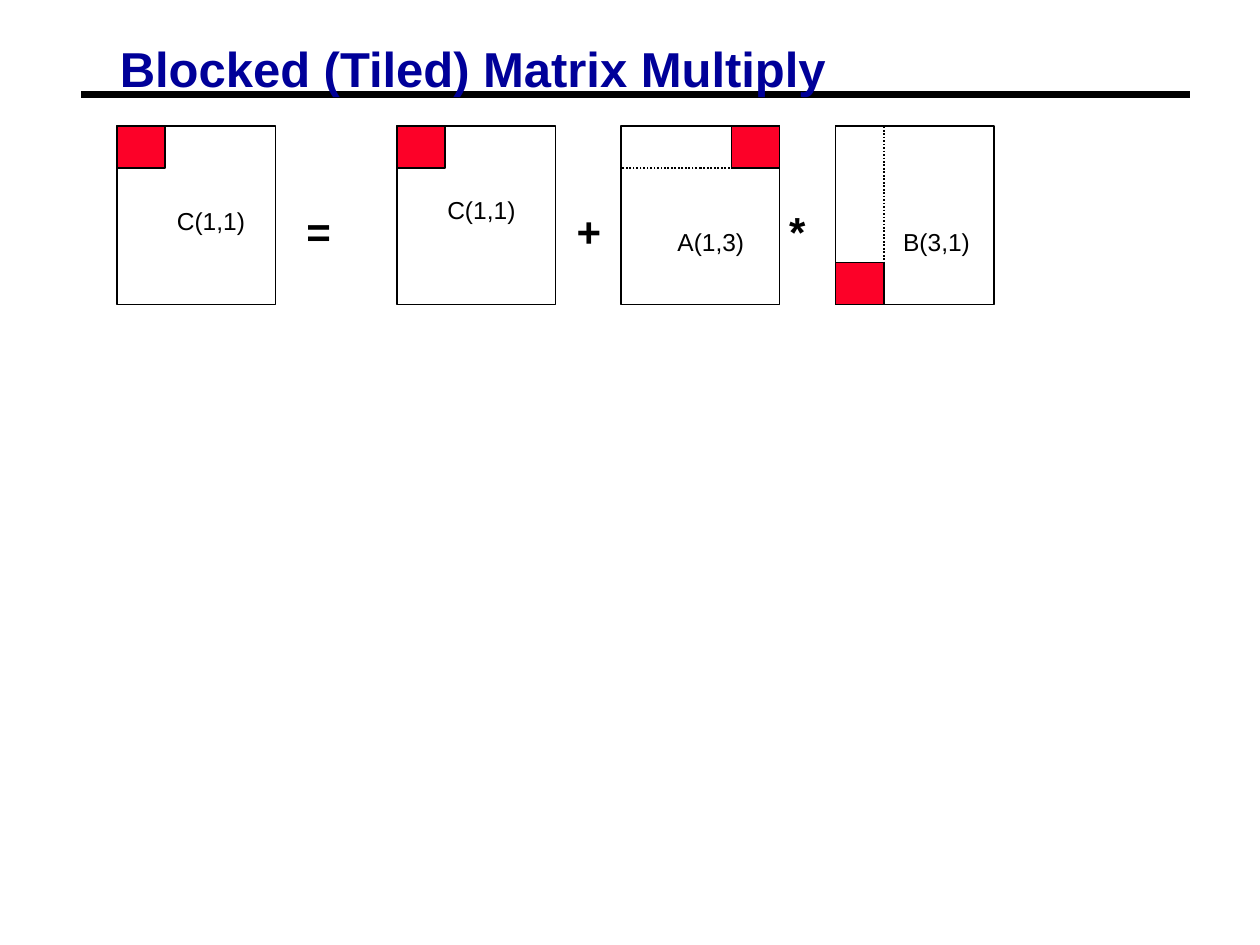
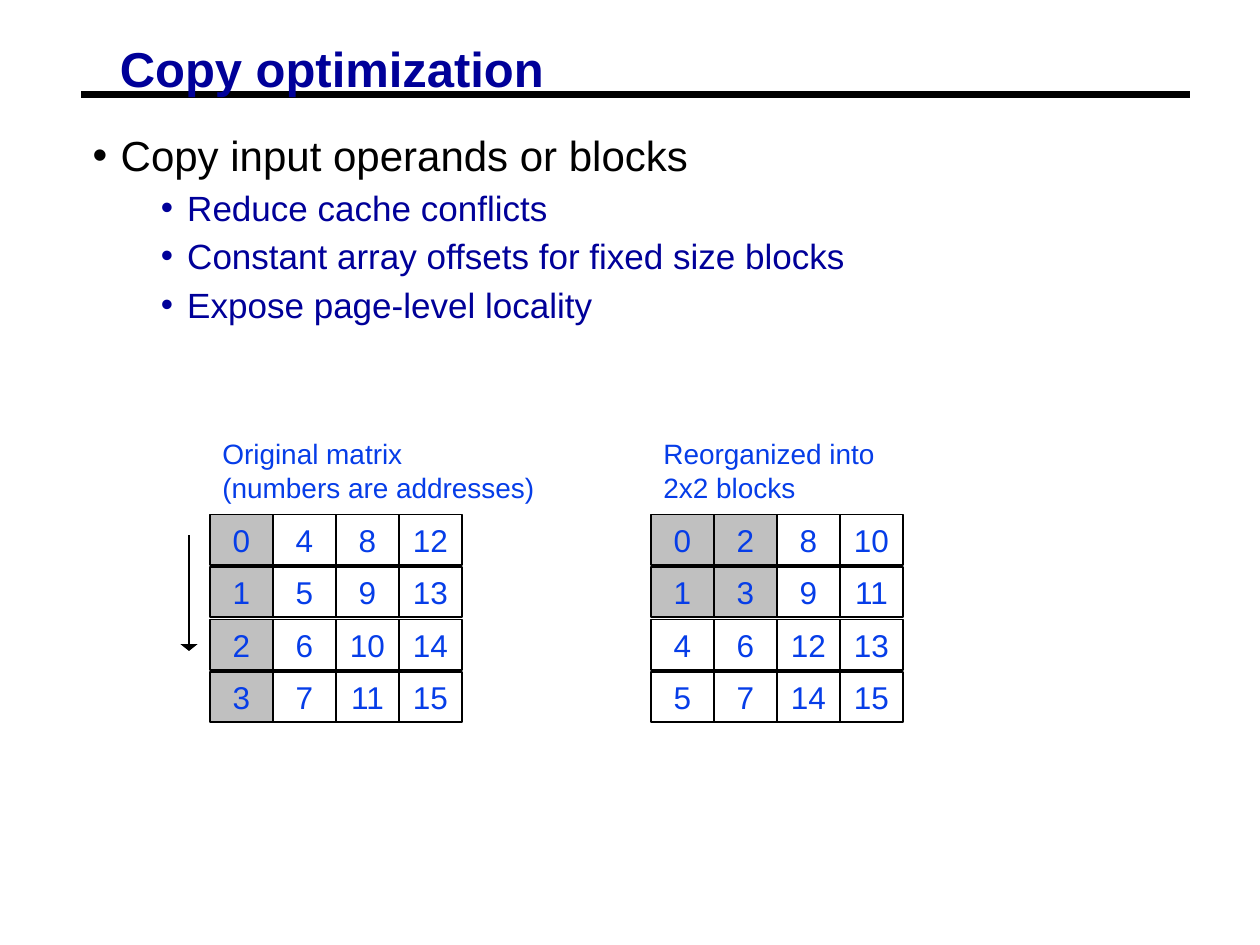
from pptx import Presentation
from pptx.dml.color import RGBColor
from pptx.enum.dml import MSO_LINE as Dash
from pptx.enum.shapes import MSO_CONNECTOR as Conn, MSO_SHAPE as Shape
from pptx.enum.text import MSO_ANCHOR as Anchor, PP_ALIGN as Align
from pptx.oxml.ns import qn
from pptx.util import Pt
from lxml.etree import SubElement as Sub

color = RGBColor.from_string
BLACK, NAVY, BLUE, RED, GRAY = "000000", "000099", "063DE8", "FC0128", "C0C0C0"


def box(slide, x, y, w, h, fill=None):
    """Outlined rectangle, filled only when a colour is given."""
    rect = slide.shapes.add_shape(Shape.RECTANGLE, Pt(x), Pt(y), Pt(w), Pt(h))
    rect.shadow.inherit = False
    rect.line.color.rgb = color(BLACK)
    rect.line.width = Pt(1)
    if fill:
        rect.fill.solid()
        rect.fill.fore_color.rgb = color(fill)
    else:
        rect.fill.background()
    return rect


def write(shape, lines, size, ink, bold=False):
    """Set one paragraph per line and return the text frame."""
    frame = shape.text_frame
    frame.word_wrap = True
    frame.vertical_anchor = Anchor.TOP
    for i, line in enumerate(lines):
        para = frame.add_paragraph() if i else frame.paragraphs[0]
        run = para.add_run()
        run.text = line
        run.font.name = "Arial"
        run.font.size = Pt(size)
        run.font.bold = bold
        run.font.color.rgb = color(ink)
    return frame


prs = Presentation()
prs.slide_width, prs.slide_height = Pt(720), Pt(540)

# Shared rule and title; the second slide also has a downward arrow
titles = [("Blocked (Tiled) Matrix Multiply", 415), ("Copy optimization", 253)]
rule, arrow = (48, 54, 678, 54, 3.75), (108, 306, 108, 372, 1)
slides = []
for (title, width), lines in zip(titles, ([rule], [rule, arrow])):
    slide = prs.slides.add_slide(prs.slide_layouts[6])
    slides.append(slide)
    for x1, y1, x2, y2, weight in lines:
        line = slide.shapes.add_connector(
            Conn.STRAIGHT, Pt(x1), Pt(y1), Pt(x2), Pt(y2))
        line.line.color.rgb = color(BLACK)
        line.line.width = Pt(weight)
        stroke = line._element.spPr.find(qn("a:ln"))
        stroke.set("cap", "sq")
        if x1 == x2:
            Sub(stroke, qn("a:tailEnd"), type="triangle", w="lg", len="sm")
        Sub(line._element.spPr, qn("a:effectLst"))
    head = slide.shapes.add_textbox(Pt(63.5), Pt(24.5), Pt(width), Pt(37.5))
    frame = write(head, [title], 28, NAVY, bold=True)
    frame.margin_left = frame.margin_right = Pt(5)
    frame.margin_top = frame.margin_bottom = Pt(2)
    frame.paragraphs[0].line_spacing = 0.87
tiled, copied = slides

# Slide 1: matrices, each with one red block
TOP, WIDE, HIGH = 72, 90.5, 102
BW, BH = 27.5, 24
lefts = [67, 227, 355, 477.5]
for x in lefts:
    box(tiled, x, TOP, WIDE, HIGH)

# Dotted block row of A and block column of B
for x, w, h in [(lefts[2], WIDE, BH), (lefts[3], BW, HIGH - 2.5)]:
    box(tiled, x, TOP, w, h).line.dash_style = Dash.ROUND_DOT

for x, dx, dy in zip(lefts, (0, 0, WIDE - BW, 0), (0, 0, 0, HIGH - BH)):
    box(tiled, x + dx, TOP + dy, BW, BH, RED)

# Operators and block names
for sign, x, w in [("=", 168, 42.5), ("+", 322.5, 21.5), ("*", 445, 13)]:
    spot = tiled.shapes.add_textbox(Pt(x), Pt(114), Pt(w), Pt(36))
    write(spot, [sign], 24, BLACK, bold=True)
for name, x, y in [("C(1,1)", 94, 114), ("C(1,1)", 248.5, 108),
                   ("A(1,3)", 380, 126), ("B(3,1)", 509, 126)]:
    spot = tiled.shapes.add_textbox(Pt(x), Pt(y), Pt(53.5), Pt(24.5))
    write(spot, [name], 14, BLACK)

# Slide 2: bullet list
items = ["Copy input operands or blocks", "Reduce cache conflicts",
         "Constant array offsets for fixed size blocks",
         "Expose page-level locality"]
body = copied.shapes.add_textbox(Pt(48), Pt(72), Pt(630), Pt(116))
frame = write(body, items, 20, NAVY)
frame.margin_left = frame.margin_right = Pt(5)
frame.margin_top = frame.margin_bottom = Pt(2)
lead = frame.paragraphs[0].runs[0].font
lead.size, lead.color.rgb = Pt(24), color(BLACK)
for i, para in enumerate(frame.paragraphs):
    left, hang, ink = (54, 15, NAVY) if i else (16, 16, BLACK)
    if i:
        para.level = 1
        para.space_before = Pt(3.7)
    props = para._p.get_or_add_pPr()
    props.set("marL", str(Pt(left)))
    props.set("indent", str(-Pt(hang)))
    Sub(Sub(props, qn("a:buClr")), qn("a:srgbClr"), val=ink)
    Sub(props, qn("a:buFont"), typeface="Arial")
    Sub(props, qn("a:buChar"), char="•")

# Address grids with their captions
CELL, PITCH = 36, 30
plain = [[row + 4 * col for col in range(4)] for row in range(4)]
blocks = [[0, 2, 8, 10], [1, 3, 9, 11], [4, 6, 12, 13], [5, 7, 14, 15]]
grids = [
    (120, 204, ["Original matrix", "(numbers are addresses)"], plain, 4, 1),
    (372, 146, ["Reorganized into", "2x2 blocks"], blocks, 2, 2),
]
for x, width, caption, rows, gray_rows, gray_cols in grids:
    for r, row in enumerate(rows):
        for c, value in enumerate(row):
            fill = GRAY if r < gray_rows and c < gray_cols else None
            cell = box(copied, x + c * CELL, 294 + r * PITCH, CELL, 28.8, fill)
            frame = write(cell, [str(value)], 18, BLUE)
            frame.paragraphs[0].alignment = Align.CENTER
    note = copied.shapes.add_textbox(Pt(x), Pt(246), Pt(width), Pt(46))
    write(note, caption, 16, BLUE)

prs.save("out.pptx")
